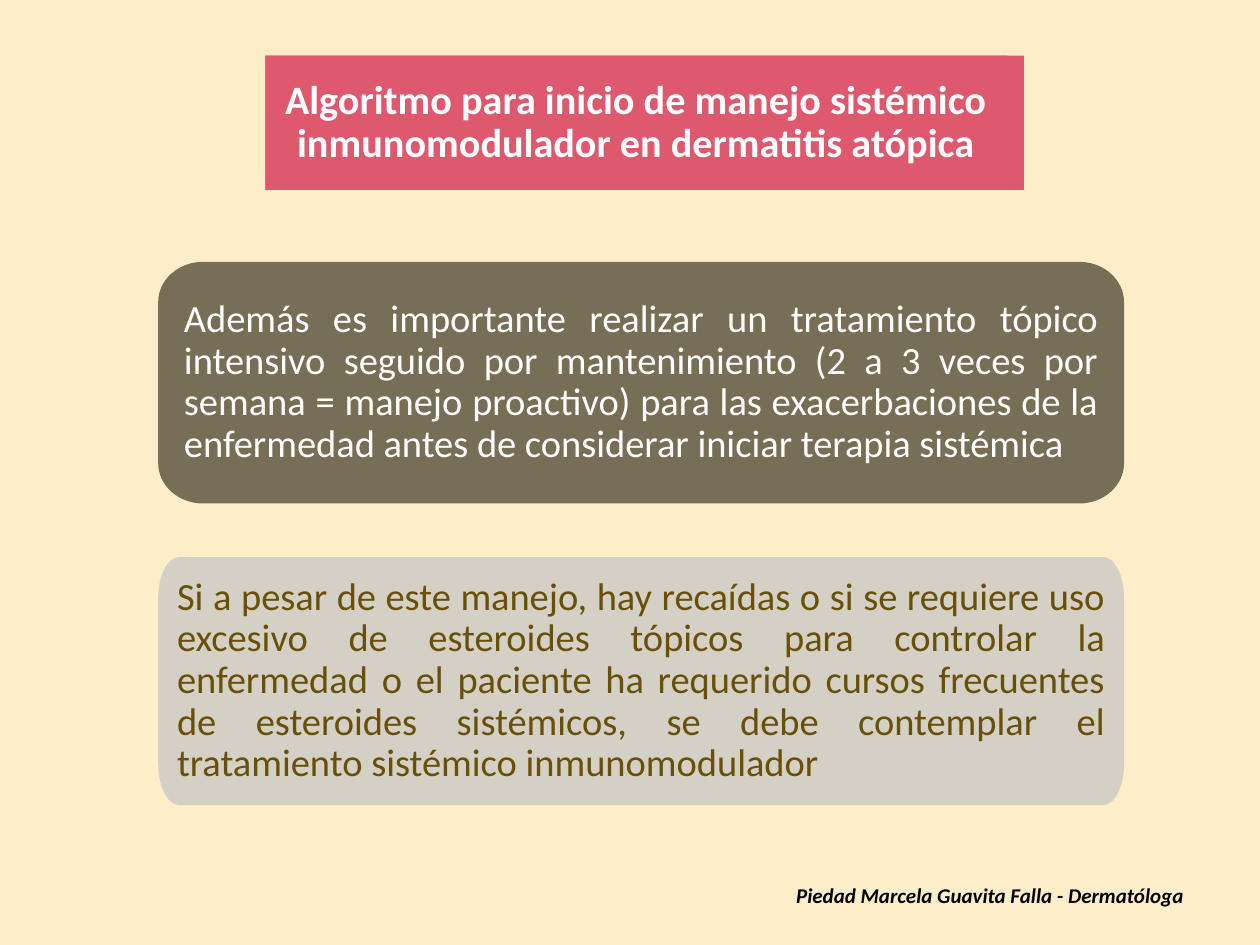
"""Build the slide on when to start systemic treatment in atopic dermatitis."""
from lxml import etree
from pptx import Presentation
from pptx import util as u
from pptx.dml.color import RGBColor
from pptx.enum import shapes, text
from pptx.oxml.ns import qn

COLOURS = {
    "background": "FBEEC9",
    "title": "DE586E",
    "olive": "776E56",
    "stone": "D4D0C6",
    "white": "FFFFFF",
    "brown": "695008",
    "black": "000000",
}


def paint(shape, colour):
    shape.shadow.inherit = False
    shape.fill.solid()
    shape.fill.fore_color.rgb = RGBColor.from_string(COLOURS[colour])
    shape.line.fill.background()


def write(shape, words, size, colour, align, inset=None, bold=False, italic=False):
    frame = shape.text_frame
    frame.text = words
    frame.word_wrap = True
    para = frame.paragraphs[0]
    para.alignment = align
    if inset is not None:
        frame.vertical_anchor = text.MSO_ANCHOR.MIDDLE
        frame.margin_left = frame.margin_right = u.Cm(inset)
        frame.margin_top = frame.margin_bottom = u.Cm(inset)
        para.line_spacing = 0.9
    font = para.runs[0].font
    font.name = "Calibri"
    font.size = u.Pt(size)
    font.bold = bold
    font.italic = italic
    font.color.rgb = RGBColor.from_string(COLOURS[colour])


deck = Presentation()
deck.slide_width, deck.slide_height = u.Cm(25.4), u.Cm(19.05)
page = deck.slides.add_slide(deck.slide_layouts[6])
page.background.fill.solid()
page.background.fill.fore_color.rgb = RGBColor.from_string(COLOURS["background"])

LEFT, RIGHT = 3.19, 22.66
CURVE = 0.55
steps = [
    (5.28, 10.15, 0.9, 0.81, 0.52, "olive", "white",
     "Además es importante realizar un tratamiento tópico intensivo seguido por "
     "mantenimiento (2 a 3 veces por semana = manejo proactivo) para las "
     "exacerbaciones de la enfermedad antes de considerar iniciar terapia sistémica"),
    (11.23, 16.23, 0.42, 0.83, 0.38, "stone", "brown",
     "Si a pesar de este manejo, hay recaídas o si se requiere uso excesivo de "
     "esteroides tópicos para controlar la enfermedad o el paciente ha requerido "
     "cursos frecuentes de esteroides sistémicos, se debe contemplar el "
     "tratamiento sistémico inmunomodulador"),
]
for top, bottom, radius_x, radius_y, inset, fill, ink, words in steps:
    outline = [
        (LEFT, top + radius_y), (LEFT + radius_x, top),
        (RIGHT - radius_x, top), (RIGHT, top + radius_y),
        (RIGHT, bottom - radius_y), (RIGHT - radius_x, bottom),
        (LEFT + radius_x, bottom), (LEFT, bottom - radius_y),
    ]
    points = [(u.Cm(x), u.Cm(y)) for x, y in outline]
    builder = page.shapes.build_freeform(*points[0])
    builder.add_line_segments(points[1:], close=True)
    box = builder.convert_to_shape()
    nodes = list(box.element.iter(qn("a:pt")))
    spots = [(int(node.get("x")), int(node.get("y"))) for node in nodes]
    for index in range(0, 8, 2):
        start, end = spots[index], spots[index + 1]
        corner = (start[0], end[1]) if index % 4 == 0 else (end[0], start[1])
        bend = nodes[index + 1].getparent()
        curve = etree.Element(qn("a:cubicBezTo"))
        for near in (start, end):
            x, y = (round(a + CURVE * (b - a)) for a, b in zip(near, corner))
            etree.SubElement(curve, qn("a:pt"), x=str(x), y=str(y))
        curve.append(nodes[index + 1])
        bend.getparent().replace(bend, curve)
    paint(box, fill)
    write(box, words, 22, ink, text.PP_ALIGN.JUSTIFY, inset)

author = page.shapes.add_textbox(u.Cm(15.8), u.Cm(17.67), u.Cm(8.46), u.Cm(0.76))
write(author, "Piedad Marcela Guavita Falla - Dermatóloga", 12, "black",
      text.PP_ALIGN.LEFT, bold=True, italic=True)
author.text_frame.auto_size = text.MSO_AUTO_SIZE.SHAPE_TO_FIT_TEXT

heading = page.shapes.add_group_shape()
for width in (15.29, 14.96):
    banner = heading.shapes.add_shape(
        shapes.MSO_SHAPE.RECTANGLE, u.Cm(5.35), u.Cm(1.12), u.Cm(width), u.Cm(2.71))
    paint(banner, "title")
write(banner, "Algoritmo para inicio de manejo sistémico inmunomodulador en dermatitis atópica",
      23, "white", text.PP_ALIGN.CENTER, 0.32, bold=True)

deck.save("out.pptx")
